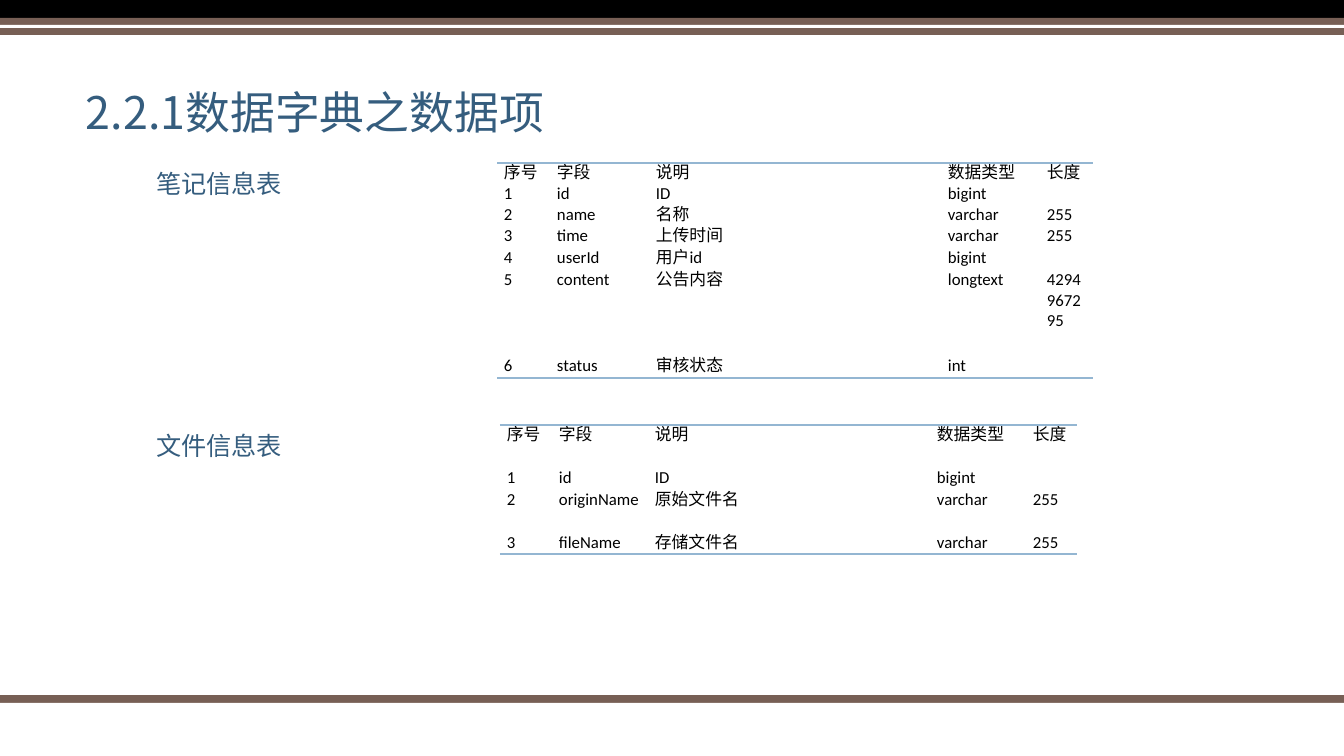
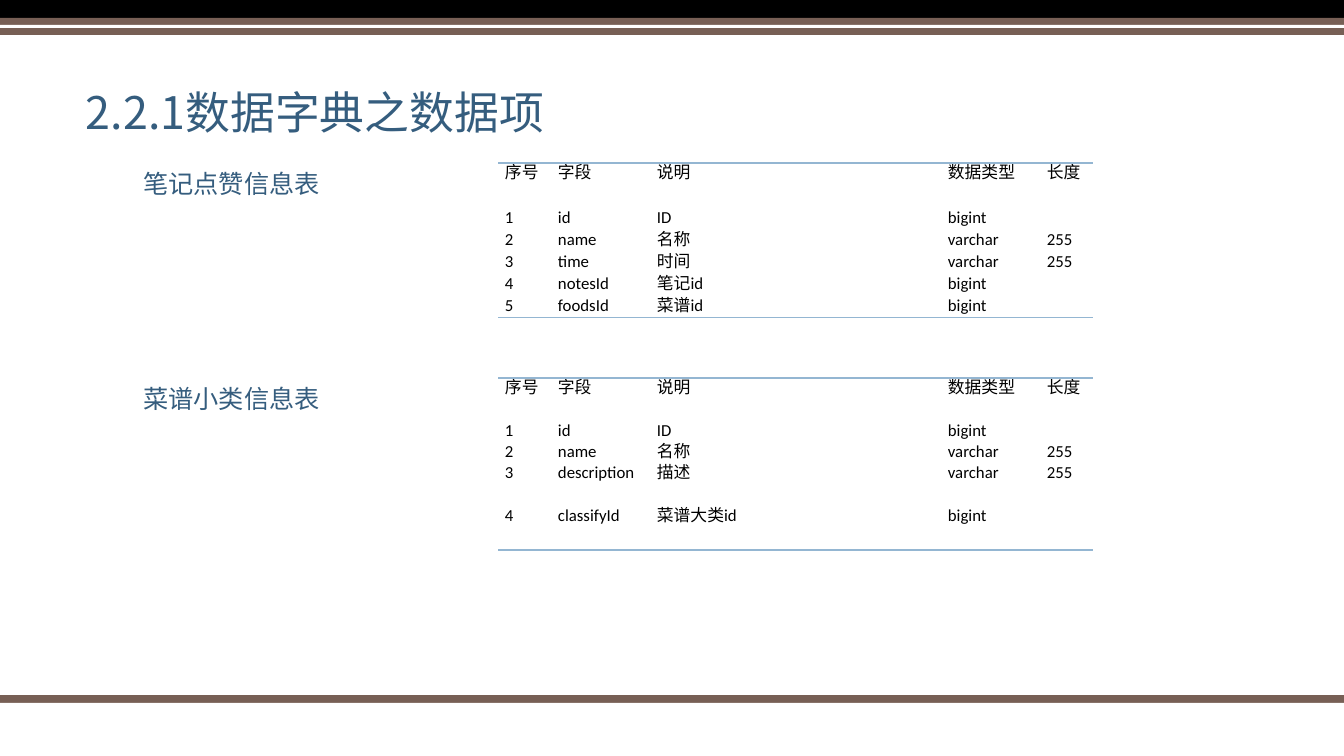
from dataclasses import dataclass

from lxml import etree
from pptx import Presentation
from pptx.dml.color import RGBColor
from pptx.enum.shapes import MSO_SHAPE
from pptx.enum.text import MSO_ANCHOR, PP_ALIGN
from pptx.oxml.ns import qn
from pptx.slide import Slide
from pptx.text.text import TextFrame
from pptx.util import Emu, Pt

RECT = MSO_SHAPE.RECTANGLE
TOP, BOTTOM = MSO_ANCHOR.TOP, MSO_ANCHOR.BOTTOM
LEFT, CENTER, JUSTIFY = PP_ALIGN.LEFT, PP_ALIGN.CENTER, PP_ALIGN.JUSTIFY

EMU_PER_PX = 914400 / 100.8
SLIDE_W, SLIDE_H = 1344, 756
NO_GRID_STYLE = "{2D5ABB26-0587-4C30-8999-92F81FD0307C}"


@dataclass(frozen=True)
class Theme:
    brown: str = "775F55"
    black: str = "000000"
    white: str = "FFFFFF"
    heading: str = "355D7E"
    rule: str = "94B6D2"
    heading_font: str = "Noto Sans CJK SC"
    table_font: str = "Calibri"
    title_size: int = 32
    label_size: int = 18
    cell_size: int = 12
    rule_width: int = 1


THEME = Theme()


@dataclass(frozen=True)
class Band:
    top: int
    height: int
    color: str


@dataclass(frozen=True)
class FieldTable:
    label: str
    label_width: int
    left: int
    top: int
    columns: tuple[int, ...]
    row_heights: tuple[int, ...]
    fields: tuple[tuple[str, ...], ...]


TITLE = "2.2.1数据字典之数据项"
HEADER = ("序号", "字段", "说明", "数据类型", "长度")
BANDS = (
    Band(695, 11, THEME.brown),
    Band(703, 3, THEME.white),
    Band(0, 18, THEME.black),
    Band(18, 17, THEME.brown),
    Band(25, 3, THEME.white),
)
WIDE_COLUMNS = (53, 99, 291, 99, 53)

SLIDES = (
    (
        FieldTable(
            "笔记信息表", 190, 497, 163, (53, 99, 292, 99, 53),
            (21, 21, 21, 22, 22, 86, 22),
            (
                ("id", "ID", "bigint", ""),
                ("name", "名称", "varchar", "255"),
                ("time", "上传时间", "varchar", "255"),
                ("userId", "用户id", "bigint", ""),
                ("content", "公告内容", "longtext", "4294967295"),
                ("status", "审核状态", "int", ""),
            ),
        ),
        FieldTable(
            "文件信息表", 190, 500, 425, (52, 96, 282, 96, 51),
            (43, 22, 43, 21),
            (
                ("id", "ID", "bigint", ""),
                ("originName", "原始文件名", "varchar", "255"),
                ("fileName", "存储文件名", "varchar", "255"),
            ),
        ),
    ),
    (
        FieldTable(
            "笔记点赞信息表", 215, 498, 163, WIDE_COLUMNS,
            (45, 22, 22, 22, 22, 22),
            (
                ("id", "ID", "bigint", ""),
                ("name", "名称", "varchar", "255"),
                ("time", "时间", "varchar", "255"),
                ("notesId", "笔记id", "bigint", ""),
                ("foodsId", "菜谱id", "bigint", ""),
            ),
        ),
        FieldTable(
            "菜谱小类信息表", 215, 498, 378, WIDE_COLUMNS,
            (43, 21, 21, 43, 44),
            (
                ("id", "ID", "bigint", ""),
                ("name", "名称", "varchar", "255"),
                ("description", "描述", "varchar", "255"),
                ("classifyId", "菜谱大类id", "bigint", ""),
            ),
        ),
    ),
)


def px(value: int) -> Emu:
    return Emu(round(value * EMU_PER_PX))


def write_text(tf: TextFrame, text: str, *, size: int, font: str, color: str,
               align: PP_ALIGN = LEFT, spacing: float = 1.0) -> None:
    p = tf.paragraphs[0]
    p.alignment = align
    p.line_spacing = spacing
    if not text:
        end = etree.SubElement(p._p, qn("a:endParaRPr"))
        end.set("sz", str(size * 100))
        etree.SubElement(end, qn("a:latin")).set("typeface", font)
        return
    r = p.add_run()
    r.text = text
    r.font.size = Pt(size)
    r.font.name = font
    r.font.color.rgb = RGBColor.from_string(color)
    latin = r._r.get_or_add_rPr().find(qn("a:latin"))
    ea = etree.Element(qn("a:ea"))
    ea.set("typeface", font)
    latin.addnext(ea)


def add_band(s: Slide, band: Band) -> None:
    sp = s.shapes.add_shape(RECT, 0, px(band.top), px(SLIDE_W), px(band.height))
    sp.shadow.inherit = False
    sp.fill.solid()
    sp.fill.fore_color.rgb = RGBColor.from_string(band.color)
    sp.line.fill.background()


def add_heading(s: Slide, text: str, left: int, top: int, width: int, height: int,
                *, size: int, anchor: MSO_ANCHOR, align: PP_ALIGN = LEFT,
                spacing: float = 1.0) -> None:
    tf = s.shapes.add_textbox(px(left), px(top), px(width), px(height)).text_frame
    tf.word_wrap = True
    tf.vertical_anchor = anchor
    write_text(tf, text, size=size, font=THEME.heading_font, color=THEME.heading,
               align=align, spacing=spacing)


def add_rule(cell, side: str) -> None:
    line = etree.Element(qn(f"a:{side}"))
    line.set("w", str(Pt(THEME.rule_width)))
    fill = etree.SubElement(line, qn("a:solidFill"))
    etree.SubElement(fill, qn("a:srgbClr")).set("val", THEME.rule)
    cell._tc.get_or_add_tcPr().insert(0, line)


def add_field_table(s: Slide, spec: FieldTable) -> None:
    add_heading(s, spec.label, 124, spec.top, spec.label_width, 72,
                size=THEME.label_size, anchor=TOP, align=CENTER)
    rows = [HEADER] + [(str(i), *field) for i, field in enumerate(spec.fields, 1)]
    table = s.shapes.add_table(
        len(rows), len(HEADER), px(spec.left), px(spec.top),
        px(sum(spec.columns)), px(sum(spec.row_heights))).table
    table.first_row = table.horz_banding = False
    table._tbl.tblPr.find(qn("a:tableStyleId")).text = NO_GRID_STYLE
    for column, width in zip(table.columns, spec.columns):
        column.width = px(width)
    for i, (row, height, values) in enumerate(zip(table.rows, spec.row_heights, rows)):
        row.height = px(height)
        for cell, value in zip(row.cells, values):
            cell.margin_left = cell.margin_right = px(7)
            cell.margin_top = cell.margin_bottom = 0
            cell.fill.background()
            write_text(cell.text_frame, value, size=THEME.cell_size,
                       font=THEME.table_font, color=THEME.black, align=JUSTIFY)
            if i == 0:
                add_rule(cell, "lnT")
            if i == len(rows) - 1:
                add_rule(cell, "lnB")


def main() -> None:
    prs = Presentation()
    prs.slide_width, prs.slide_height = px(SLIDE_W), px(SLIDE_H)
    for tables in SLIDES:
        s = prs.slides.add_slide(prs.slide_layouts[6])
        for band in BANDS:
            add_band(s, band)
        add_heading(s, TITLE, 76, 26, 1016, 118, size=THEME.title_size,
                    anchor=BOTTOM, spacing=0.9)
        for spec in tables:
            add_field_table(s, spec)
    prs.save("out.pptx")


if __name__ == "__main__":
    main()
